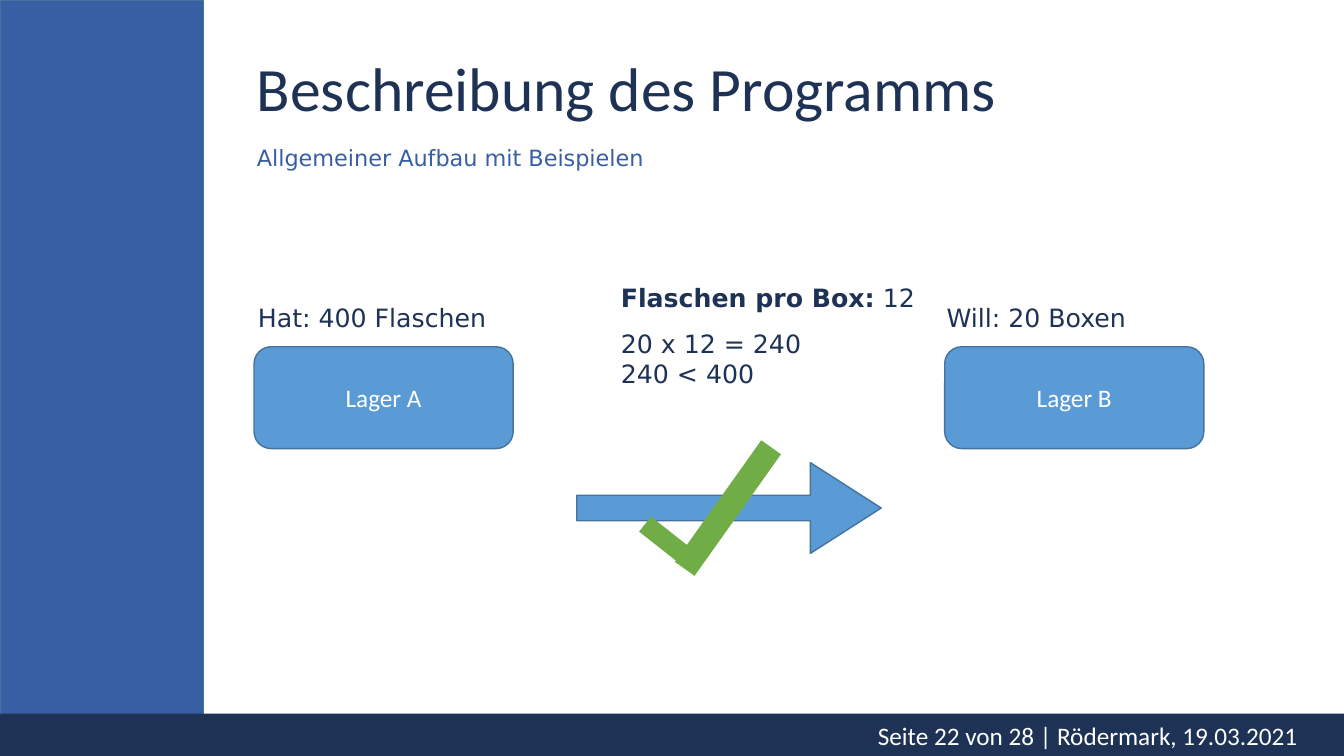
from pptx import Presentation
from pptx.dml.color import RGBColor
from pptx.enum.shapes import MSO_SHAPE
from pptx.enum.text import MSO_ANCHOR, PP_ALIGN
from pptx.util import Inches, Pt

NAVY, BLUE, SKY = "1E3256", "385FA4", "5B9BD5"
EDGE, GREEN, WHITE = "43739E", "70AD47", "FFFFFF"
HEAD, BODY = "Calibri", "DejaVu Sans"


def color(code):
    return RGBColor.from_string(code)


def place(box):
    return [Inches(v) for v in box]


def style(para, font, size, code):
    for run in para.runs:
        run.font.name = font
        run.font.size = Pt(size)
        run.font.color.rgb = color(code)


def shape(slide, kind, box, fill, edge=None, turn=0):
    item = slide.shapes.add_shape(kind, *place(box))
    item.shadow.inherit = False
    item.fill.solid()
    item.fill.fore_color.rgb = color(fill)
    if edge:
        item.line.color.rgb = color(edge)
        item.line.width = Pt(1)
    else:
        item.line.fill.background()
    item.rotation = turn
    return item


def label(slide, box, text, font=BODY, size=18, code=NAVY, wrap=False,
          anchor=MSO_ANCHOR.TOP, align=PP_ALIGN.LEFT, space=1.0):
    frame = slide.shapes.add_textbox(*place(box)).text_frame
    frame.text = text
    frame.word_wrap = wrap
    frame.vertical_anchor = anchor
    for para in frame.paragraphs:
        para.alignment = align
        para.line_spacing = space
        style(para, font, size, code)
    return frame


# Side bar and footer
def border(slide, width, height):
    shape(slide, MSO_SHAPE.RECTANGLE, (0, 0, 2.02, height), BLUE, EDGE)
    top = 7.08
    shape(slide, MSO_SHAPE.RECTANGLE, (0, top, width, height - top), NAVY)
    label(slide, (width - 5.09, top + 0.01, 4.73, 0.41),
          "Seite 22 von 28 | Rödermark, 19.03.2021", HEAD, code=WHITE,
          wrap=True, anchor=MSO_ANCHOR.MIDDLE, align=PP_ALIGN.RIGHT)


# Title and subtitle
def header(slide, left, top, width):
    label(slide, (left, top, width, 0.91), "Beschreibung des Programms",
          HEAD, 44, wrap=True, anchor=MSO_ANCHOR.MIDDLE, space=0.9)
    label(slide, (left, top + 0.96, width, 0.6),
          "Allgemeiner Aufbau mit Beispielen", size=16, code=BLUE,
          wrap=True, space=0.9)


# Store with its note above
def store(slide, left, top, name, note, shift, width):
    item = shape(slide, MSO_SHAPE.ROUNDED_RECTANGLE,
                 (left, top, 2.57, 1.01), SKY, EDGE)
    frame = item.text_frame
    frame.text = name
    frame.vertical_anchor = MSO_ANCHOR.MIDDLE
    para = frame.paragraphs[0]
    para.alignment = PP_ALIGN.CENTER
    style(para, HEAD, 18, WHITE)
    label(slide, (left - shift, top - 0.49, width, 0.4), note)


# Sum in the middle
def reckon(slide, left, top):
    frame = label(slide, (left, top, 3.15, 0.4), "Flaschen pro Box:")
    para = frame.paragraphs[0]
    para.runs[0].font.bold = True
    para.add_run().text = " 12"
    style(para, BODY, 18, NAVY)
    label(slide, (left, top + 0.46, 2.04, 0.71), "20 x 12 = 240\n240 < 400")


# Arrow with check mark
def transfer(slide, left, top):
    arrow = shape(slide, MSO_SHAPE.RIGHT_ARROW, (left, top, 3.02, 0.9),
                  SKY, EDGE)
    arrow.adjustments[0] = 0.28
    arrow.adjustments[1] = 0.78
    shape(slide, MSO_SHAPE.RECTANGLE,
          (left + 0.85, top + 0.48, 0.19, 0.68), GREEN, turn=308.3)
    shape(slide, MSO_SHAPE.RECTANGLE,
          (left + 0.76, top + 0.33, 1.48, 0.24), GREEN, turn=305.4)


def main():
    deck = Presentation()
    width, height = 13.33, 7.5
    deck.slide_width, deck.slide_height = Inches(width), Inches(height)
    slide = deck.slides.add_slide(deck.slide_layouts[6])
    border(slide, width, height)
    header(slide, 2.45, 0.45, 10.53)
    store(slide, 2.52, 3.44, "Lager A", "Hat: 400 Flaschen", 0.06, 2.52)
    store(slide, 9.37, 3.44, "Lager B", "Will: 20 Boxen", 0.08, 2.06)
    reckon(slide, 6.06, 2.75)
    transfer(slide, 5.72, 4.59)
    deck.save("out.pptx")


if __name__ == "__main__":
    main()
